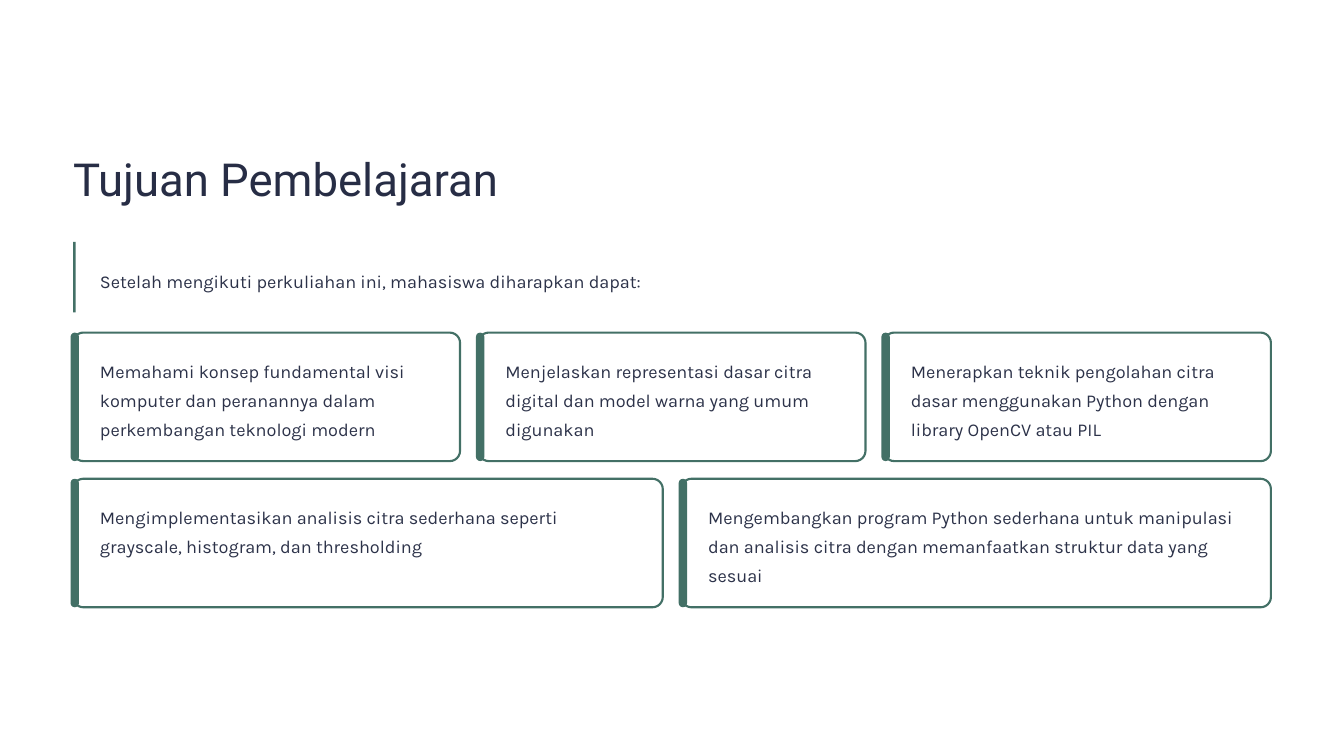
import pptx
import pptx.util
from pptx.dml.color import RGBColor
from pptx.enum.shapes import MSO_SHAPE
from pptx.util import Inches, Pt

WHITE = RGBColor(0xFF, 0xFF, 0xFF)
GREEN = RGBColor(0x43, 0x70, 0x66)
TITLE_COLOR = RGBColor(0x27, 0x2D, 0x45)
BODY_COLOR = RGBColor(0x2C, 0x32, 0x49)

LEFT = 0.87
CONTENT_WIDTH = 14.26
CARD_HEIGHT = 1.53
CARD_GAP = 0.22

GOAL_ROWS = [
    (3.96, [
        "Memahami konsep fundamental visi komputer dan peranannya dalam perkembangan teknologi modern",
        "Menjelaskan representasi dasar citra digital dan model warna yang umum digunakan",
        "Menerapkan teknik pengolahan citra dasar menggunakan Python dengan library OpenCV atau PIL",
    ]),
    (5.7, [
        "Mengimplementasikan analisis citra sederhana seperti grayscale, histogram, dan thresholding",
        "Mengembangkan program Python sederhana untuk manipulasi dan analisis citra "
        "dengan memanfaatkan struktur data yang sesuai",
    ]),
]


def add_text(slide, text, left, top, width, height, *, font="Karla", size=15.5,
             color=BODY_COLOR, line_spacing=25):
    box = slide.shapes.add_textbox(Inches(left), Inches(top), Inches(width), Inches(height))
    frame = box.text_frame
    frame.word_wrap = True
    frame.margin_left = frame.margin_top = frame.margin_right = frame.margin_bottom = 0
    para = frame.paragraphs[0]
    para.line_spacing = Pt(line_spacing)
    span = para.add_run()
    span.text = text
    span.font.name = font
    span.font.size = Pt(size)
    span.font.color.rgb = color


def add_block(slide, kind, left, top, width, height, *, fill=GREEN, line=None, rounding=None):
    block = slide.shapes.add_shape(kind, Inches(left), Inches(top), Inches(width), Inches(height))
    block.shadow.inherit = False
    block.fill.solid()
    block.fill.fore_color.rgb = fill
    if line is None:
        block.line.fill.background()
    else:
        block.line.color.rgb = line
        block.line.width = Pt(1.8)
    if rounding is not None:
        block.adjustments[0] = rounding


def add_card(slide, text, left, top, width):
    rounded = MSO_SHAPE.ROUNDED_RECTANGLE
    add_block(slide, rounded, left, top, width, CARD_HEIGHT,
              fill=WHITE, line=GREEN, rounding=0.08)
    add_block(slide, rounded, left - 0.03, top, 0.1, CARD_HEIGHT, rounding=0.5)
    add_text(slide, text, left + 0.32, top + 0.24, width - 0.56, 1.04)


def add_card_row(slide, goals, top):
    """Share the content width equally among the goals."""
    width = (CONTENT_WIDTH - CARD_GAP * (len(goals) - 1)) / len(goals)
    for index, goal in enumerate(goals):
        add_card(slide, goal, LEFT + index * (width + CARD_GAP), top, width)


def main():
    deck = pptx.Presentation()
    deck.slide_width = Inches(16)
    deck.slide_height = Inches(9)
    slide = deck.slides.add_slide(deck.slide_layouts[6])
    slide.background.fill.solid()
    slide.background.fill.fore_color.rgb = WHITE

    add_text(slide, "Tujuan Pembelajaran", LEFT, 1.77, 5.43, 0.68,
             font="Roboto", size=39, color=TITLE_COLOR, line_spacing=48.5)
    add_text(slide, "Setelah mengikuti perkuliahan ini, mahasiswa diharapkan dapat:",
             1.19, 3.13, 13.94, 0.35)
    add_block(slide, MSO_SHAPE.RECTANGLE, LEFT, 2.88, 0.03, 0.84)
    for top, goals in GOAL_ROWS:
        add_card_row(slide, goals, top)
    deck.save("out.pptx")


if __name__ == "__main__":
    main()
